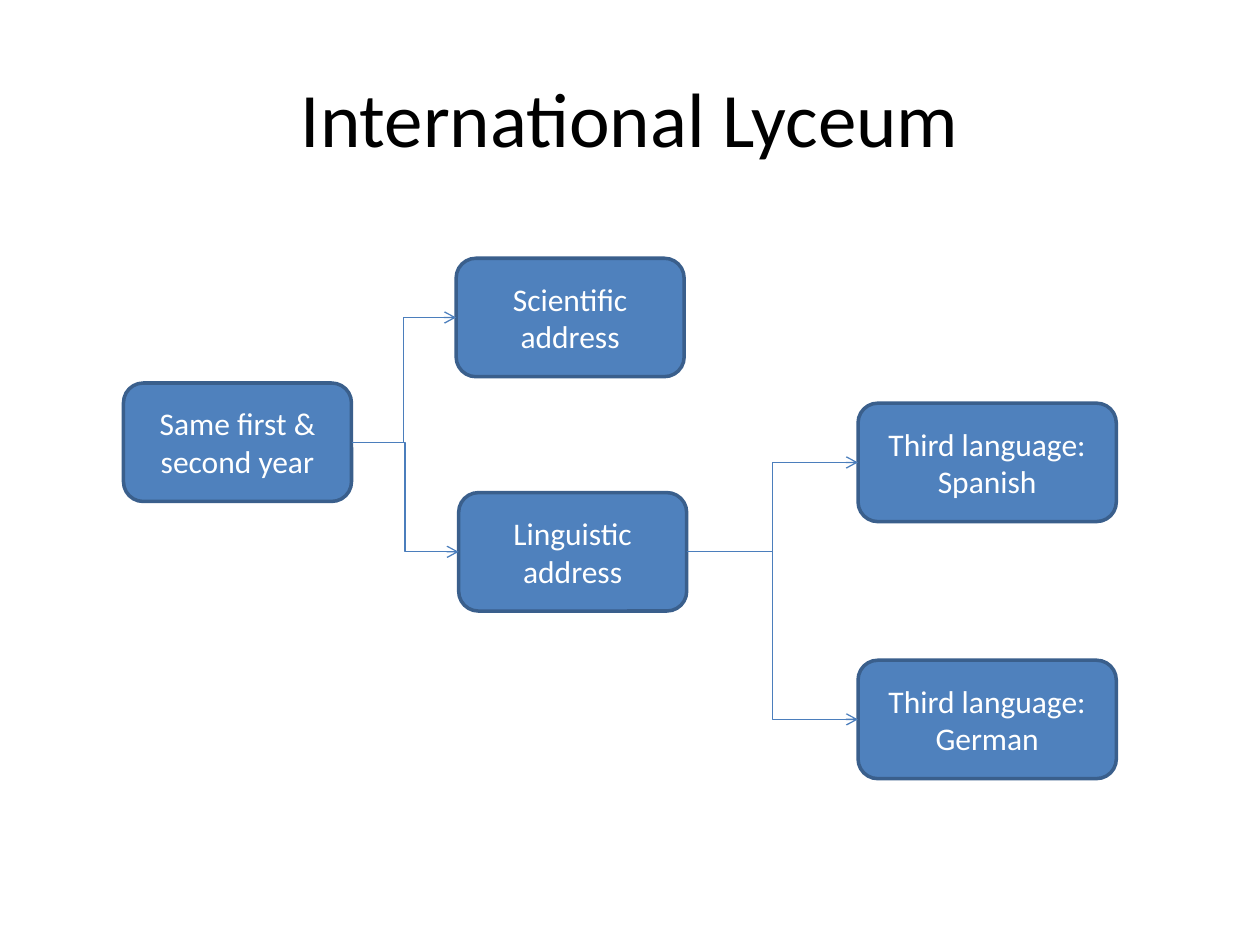
from pptx import Presentation
from pptx.dml.color import RGBColor
from pptx.enum.shapes import MSO_CONNECTOR, MSO_SHAPE
from pptx.enum.text import MSO_ANCHOR, PP_ALIGN
from pptx.oxml.ns import qn
from pptx.util import Inches, Pt
from lxml.etree import SubElement

FONT = "Calibri"
BOX_HEIGHT = 0.94
LEFT, RIGHT = 1, 3


def rgb(value):
    return RGBColor.from_string(value)


def set_text(sp, text, size, color):
    tf = sp.text_frame
    tf.text = text
    tf.word_wrap = True
    tf.vertical_anchor = MSO_ANCHOR.MIDDLE
    for p in tf.paragraphs:
        p.alignment = PP_ALIGN.CENTER
        for r in p.runs:
            r.font.name = FONT
            r.font.size = Pt(size)
            r.font.color.rgb = rgb(color)


def add_title(s, text):
    sp = s.shapes.add_textbox(Inches(0.5), Inches(0.3), Inches(9), Inches(1.25))
    set_text(sp, text, 44, "000000")


def add_box(s, text, left, top, width):
    sp = s.shapes.add_shape(MSO_SHAPE.ROUNDED_RECTANGLE, Inches(left),
                            Inches(top), Inches(width), Inches(BOX_HEIGHT))
    sp.shadow.inherit = False
    sp.fill.solid()
    sp.fill.fore_color.rgb = rgb("4F81BD")
    sp.line.color.rgb = rgb("3A5F8C")
    sp.line.width = Pt(2)
    set_text(sp, text, 18, "FFFFFF")
    return sp


def add_arrow(s, source, target):
    cxn = s.shapes.add_connector(MSO_CONNECTOR.ELBOW, 0, 0, 0, 0)
    cxn.begin_connect(source, RIGHT)
    cxn.end_connect(target, LEFT)
    cxn.line.color.rgb = rgb("4B7EBC")
    cxn.line.width = Pt(0.75)
    SubElement(cxn.line._get_or_add_ln(), qn("a:tailEnd"), type="arrow")
    SubElement(cxn._element.spPr, qn("a:effectLst"))


def main():
    prs = Presentation()
    prs.slide_width, prs.slide_height = Inches(10), Inches(7.5)
    s = prs.slides.add_slide(prs.slide_layouts[6])

    add_title(s, "International Lyceum")
    common = add_box(s, "Same first & second year", 0.98, 3.04, 1.81)
    scientific = add_box(s, "Scientific address", 3.62, 2.05, 1.81)
    linguistic = add_box(s, "Linguistic address", 3.64, 3.91, 1.81)
    spanish = add_box(s, "Third language:\nSpanish", 6.81, 3.2, 2.05)
    german = add_box(s, "Third language: German", 6.81, 5.24, 2.05)

    for source, targets in ((common, (scientific, linguistic)),
                            (linguistic, (spanish, german))):
        for target in targets:
            add_arrow(s, source, target)

    prs.save("out.pptx")


if __name__ == "__main__":
    main()
